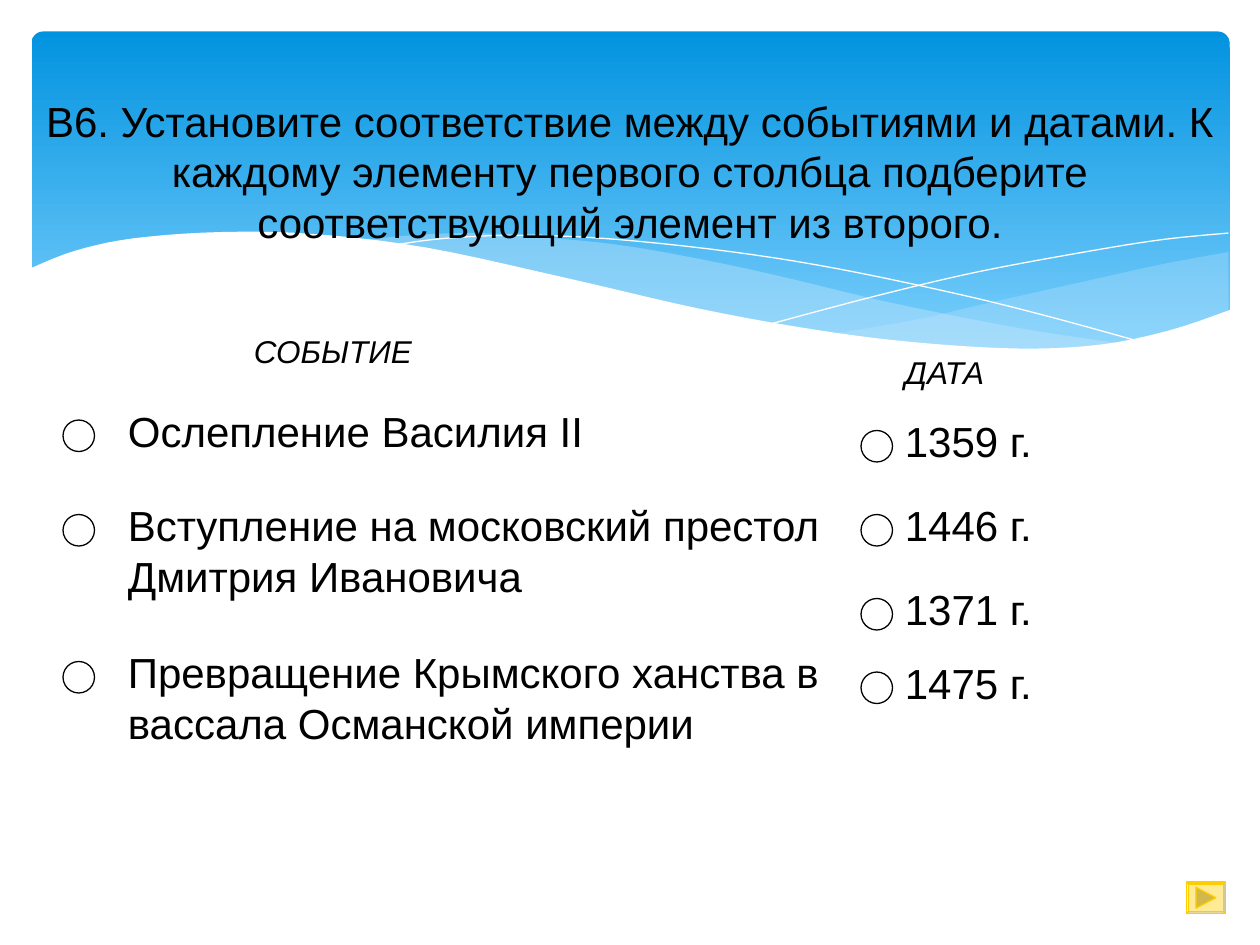
"""Build a quiz slide that matches events with dates."""
from dataclasses import dataclass
from typing import Optional

import lxml.etree
import pptx
import pptx.dml.color
import pptx.enum.shapes
import pptx.enum.text
import pptx.oxml.ns
import pptx.util

RGBColor = pptx.dml.color.RGBColor
MSO_SHAPE = pptx.enum.shapes.MSO_SHAPE
MSO_ANCHOR = pptx.enum.text.MSO_ANCHOR
MSO_AUTO_SIZE = pptx.enum.text.MSO_AUTO_SIZE
PP_ALIGN = pptx.enum.text.PP_ALIGN

BLACK = RGBColor(0x00, 0x00, 0x00)
WHITE = RGBColor(0xFF, 0xFF, 0xFF)
SKY_TOP = RGBColor(0x02, 0x93, 0xE0)
SKY_BOTTOM = RGBColor(0x83, 0xD3, 0xFE)
MIST = RGBColor(0xC6, 0xE7, 0xFC)
GOLD = RGBColor(0xFF, 0xCC, 0x00)
DARK_GOLD = RGBColor(0xD2, 0xB8, 0x4C)

UNIT = pptx.util.Inches(1) // 12
COLS, ROWS = 120, 90
FONT = "Arial"
Point = tuple[float, float]
Curve = list[Point]


@dataclass
class Wave:
    """Smooth curves joined end to end, in columns and rows."""
    curves: list[Curve]
    fill: Optional[RGBColor] = None
    opacity: int = 100


@dataclass
class Label:
    """A text box placed by column and row, with an optional marker column."""
    text: str
    col: float
    row: float
    width: float
    marker_col: Optional[float] = None
    size: int = 24
    italic: bool = False


WAVES = [
    Wave([[(117, 24), (110.5, 25.2), (103.3, 26.8), (93.5, 29), (87.5, 30.4), (79.3, 31.8)],
          [(79.3, 31.8), (86.2, 32.8), (93.7, 33.2), (101.3, 33.2), (107.6, 32.6),
           (113, 31.4), (117, 29.6)]], MIST, 29),
    Wave([[(107.2, 32.8), (96.8, 31.2), (84.7, 28.8), (75.5, 26.6), (68.3, 25),
           (60.1, 23.5), (52.9, 22.7), (45.6, 22.2), (39.4, 22.4), (34.3, 22.9)],
          [(34.3, 22.9), (41, 23.9), (48.5, 25.3), (58.9, 27.8), (67.9, 29.8),
           (78, 31.7), (88.3, 33), (96.8, 33.5), (104, 33.2), (107.2, 32.8)]], MIST, 40),
    Wave([[(37.1, 23.4), (42.4, 22.7), (49.9, 22.4), (58.7, 22.8), (69.8, 24),
           (79.8, 25.6), (91.2, 28), (99.7, 30.1), (108.8, 32.6)]]),
    Wave([[(73.6, 30.8), (83.4, 28.2), (93.1, 25.9), (103.9, 23.9), (110.9, 22.8),
           (117, 22.2)]]),
    Wave([[(2.8, 25.6), (7.1, 23.9), (12.7, 22.7), (21.1, 22.1), (30, 22.3),
           (40.7, 23.6), (53.6, 26.4), (66.6, 29.4), (77.6, 31.4), (87.1, 32.6),
           (97.1, 33.2), (105, 32.8), (111.6, 31.4), (117.2, 29.5)],
          [(117.2, 39.5), (2.8, 39.5)]], WHITE),
]

TITLE = ("В6. Установите соответствие между событиями и датами. К каждому элементу "
         "первого столбца подберите соответствующий элемент из второго.")
LABELS = [
    Label("Ослепление Василия II", 11, 38, 46, 6),
    Label("Вступление на московский престол\nДмитрия Ивановича", 11, 47, 68.6, 6),
    Label("Превращение Крымского ханства в\nвассала Османской империи", 11, 61, 68.6, 6),
    *[Label(date, 85, row, 15.2, 82) for date, row in
      (("1359 г.", 39), ("1446 г.", 47), ("1371 г.", 55), ("1475 г.", 62))],
    Label("СОБЫТИЕ", 23, 31, 17.7, size=18, italic=True),
    Label("ДАТА", 85, 33, 10.5, size=18, italic=True),
]


def grid(*values: float) -> list[int]:
    """Turn grid units into slide lengths."""
    return [round(v * UNIT) for v in values]


def smooth(knots: Curve, steps: int = 5) -> Curve:
    """Return points on a Catmull-Rom curve through the knots."""
    if len(knots) < 3:
        return knots
    ends = [knots[0], *knots, knots[-1]]
    points = [knots[0]]
    for a, b, c, d in zip(ends, ends[1:], ends[2:], ends[3:]):
        for t in (i / steps for i in range(1, steps + 1)):
            points.append(tuple(
                q + t * (r - p) / 2 + t * t * (2 * p - 5 * q + 4 * r - s) / 2
                + t ** 3 * (3 * q - p - 3 * r + s) / 2
                for p, q, r, s in zip(a, b, c, d)))
    return points


def paint(sp, fill: Optional[RGBColor] = None, opacity: int = 100,
          line: Optional[RGBColor] = None, width: float = 0.75) -> None:
    """Set a shape's fill, opacity and outline, without a shadow."""
    sp.shadow.inherit = False
    if fill is None:
        sp.fill.background()
    else:
        sp.fill.solid()
        sp.fill.fore_color.rgb = fill
        if opacity < 100:
            clr = sp.element.spPr.find(".//" + pptx.oxml.ns.qn("a:srgbClr"))
            alpha = lxml.etree.SubElement(clr, pptx.oxml.ns.qn("a:alpha"))
            alpha.set("val", str(opacity * 1000))
    if line is None:
        sp.line.fill.background()
    else:
        sp.line.color.rgb = line
        sp.line.width = pptx.util.Pt(width)


def write(tf, text: str, *, size: int = 24, italic: bool = False,
          align: PP_ALIGN = PP_ALIGN.LEFT, color: RGBColor = BLACK) -> None:
    """Fill a text frame with one formatted paragraph per line."""
    tf.text = text
    for p in tf.paragraphs:
        p.alignment = align
        for r in p.runs:
            r.font.name = FONT
            r.font.size = pptx.util.Pt(size)
            r.font.italic = italic
            r.font.color.rgb = color


def draw_wave(s, wave: Wave) -> None:
    """Draw a filled wave, or a white hairline when it has no fill."""
    first, *rest = [grid(*pt) for curve in wave.curves for pt in smooth(curve)]
    builder = s.shapes.build_freeform(*first, scale=1.0)
    builder.add_line_segments(rest, close=wave.fill is not None)
    paint(builder.convert_to_shape(), wave.fill, wave.opacity,
          None if wave.fill is not None else WHITE, 0)


def draw_label(s, label: Label) -> None:
    """Draw a label and the round marker beside its first line."""
    lines = label.text.count("\n") + 1
    height = label.size / 24 * (1.2 + 4.8 * lines)
    tf = s.shapes.add_textbox(*grid(label.col, label.row, label.width, height)).text_frame
    tf.word_wrap = False
    tf.auto_size = MSO_AUTO_SIZE.SHAPE_TO_FIT_TEXT
    write(tf, label.text, size=label.size, italic=label.italic)
    if label.marker_col is not None:
        sp = s.shapes.add_shape(MSO_SHAPE.FLOWCHART_CONNECTOR,
                                *grid(label.marker_col, label.row + 2, 3, 3))
        paint(sp, WHITE, line=BLACK)


def draw_sky(s) -> None:
    """Draw the blue panel with its waves."""
    sp = s.shapes.add_shape(MSO_SHAPE.ROUNDED_RECTANGLE, *grid(3, 3, COLS - 5.9, 32.4))
    sp.adjustments[0] = 0.034
    paint(sp)
    sp.fill.gradient()
    sp.fill.gradient_angle = 270
    for stop, color in zip(sp.fill.gradient_stops, (SKY_TOP, SKY_BOTTOM)):
        stop.color.rgb = color
    for wave in WAVES:
        draw_wave(s, wave)


def draw_next_button(s) -> None:
    """Draw the gold button with its forward arrow."""
    sp = s.shapes.add_shape(MSO_SHAPE.BEVEL, *grid(113, 84, 3.7, 3))
    sp.adjustments[0] = 0.06
    paint(sp, GOLD, 41, GOLD)
    builder = s.shapes.build_freeform(*grid(113.9, 84.5), scale=1.0)
    builder.add_line_segments([grid(115.8, 85.5), grid(113.9, 86.5)])
    paint(builder.convert_to_shape(), DARK_GOLD, line=GOLD)


def main() -> None:
    """Build and save the slide."""
    prs = pptx.Presentation()
    prs.slide_width, prs.slide_height = grid(COLS, ROWS)
    s = prs.slides.add_slide(prs.slide_layouts[5])
    draw_sky(s)
    title = s.shapes.title
    s.shapes.element.append(title.element)
    title.left, title.top, title.width, title.height = grid(0, 3.6, COLS, 25.4)
    tf = title.text_frame
    tf.word_wrap = True
    tf.auto_size = MSO_AUTO_SIZE.NONE
    tf.vertical_anchor = MSO_ANCHOR.MIDDLE
    write(tf, TITLE, align=PP_ALIGN.CENTER)
    for label in LABELS:
        draw_label(s, label)
    draw_next_button(s)
    prs.save("out.pptx")


if __name__ == "__main__":
    main()
